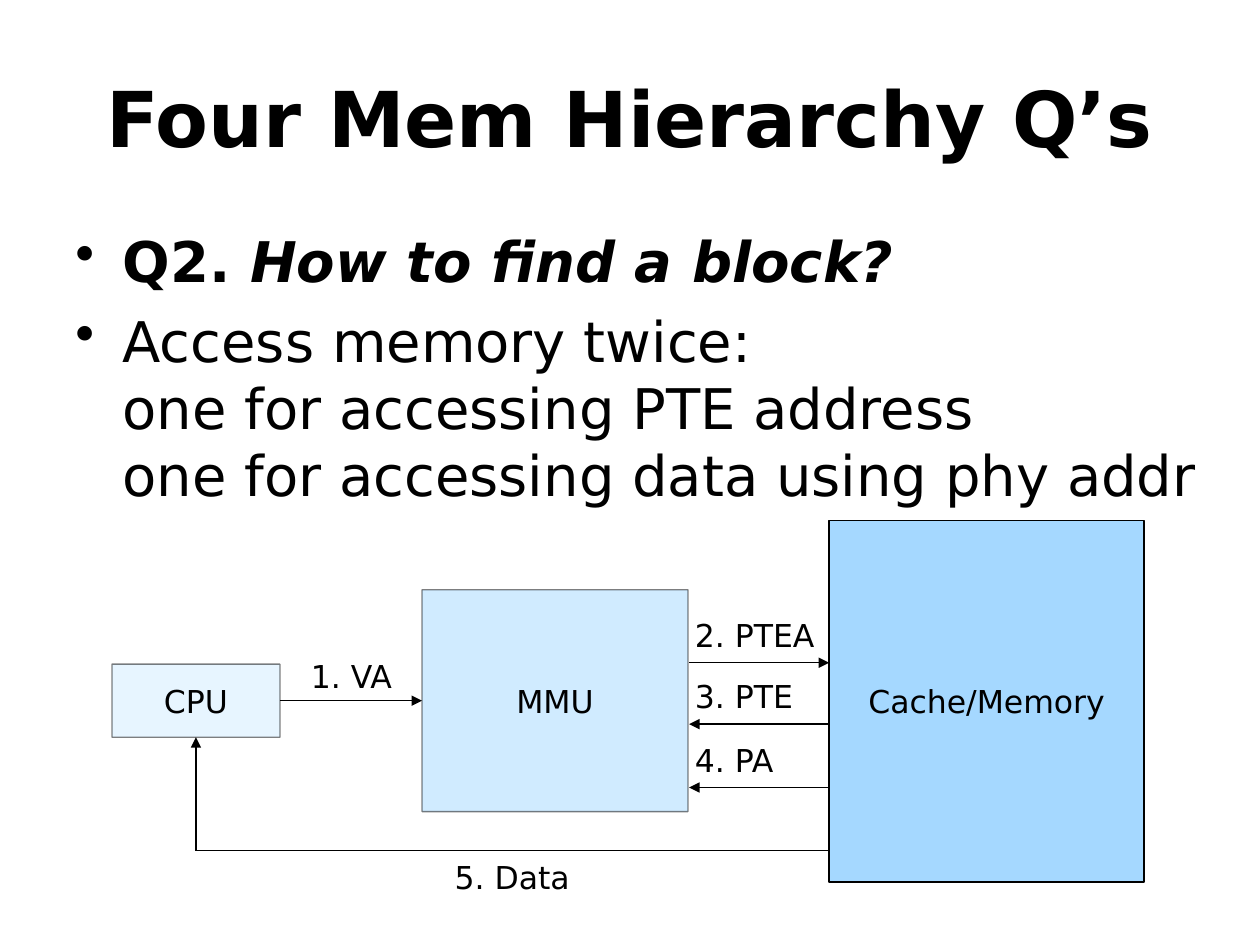
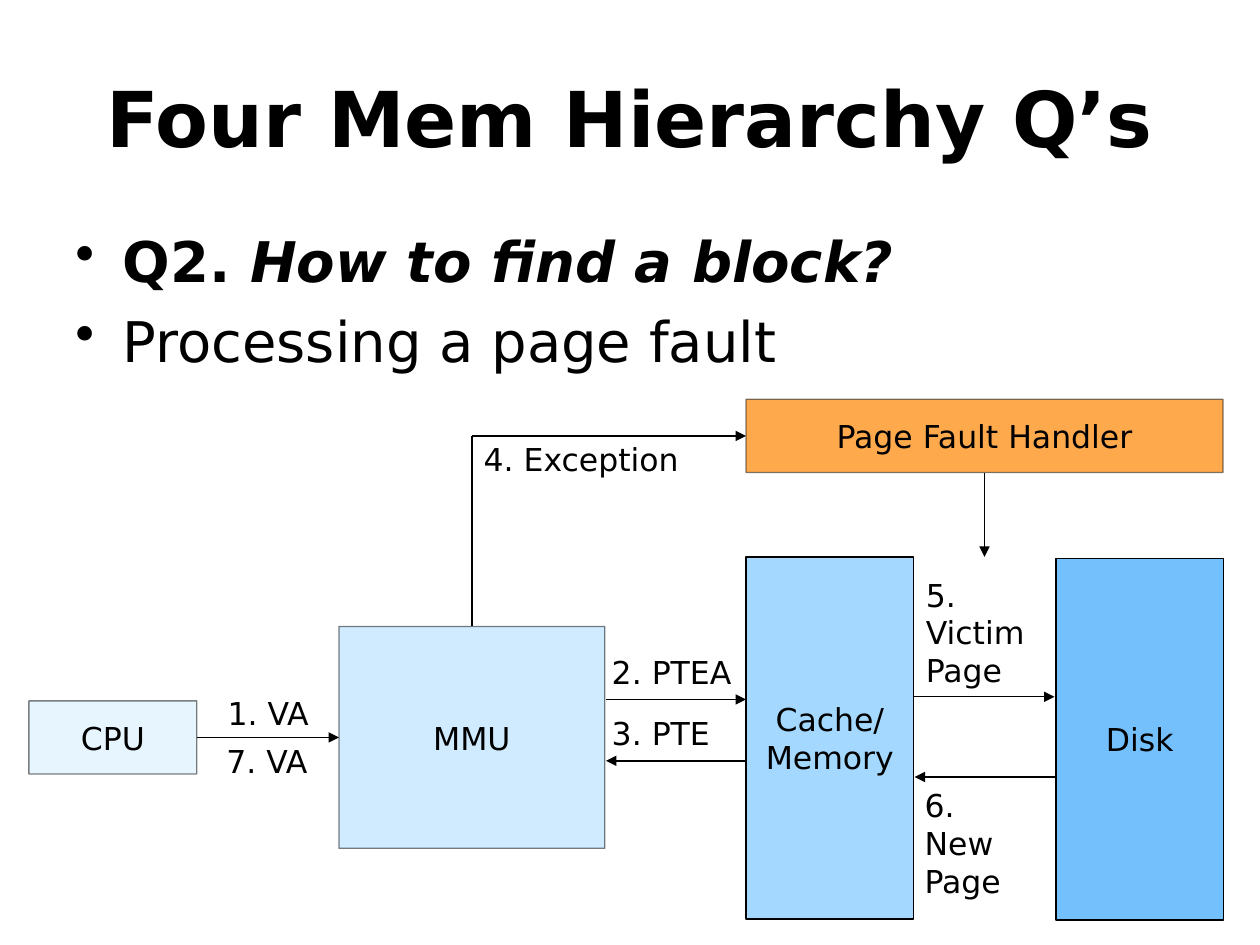
from lxml import etree
from pptx import Presentation
from pptx.dml.color import RGBColor
from pptx.enum import shapes, text
from pptx.oxml import ns
from pptx.util import Pt

BLACK = RGBColor(0, 0, 0)
CPU_BLUE = RGBColor(0xE7, 0xF5, 0xFF)
MMU_BLUE = RGBColor(0xD0, 0xEB, 0xFF)
MEMORY_BLUE = RGBColor(0xA5, 0xD8, 0xFF)
DISK_BLUE = RGBColor(0x74, 0xC0, 0xFC)
HANDLER_ORANGE = RGBColor(0xFF, 0xA9, 0x4D)
FONT = "DejaVu Sans"
LEFT, CENTER = text.PP_ALIGN.LEFT, text.PP_ALIGN.CENTER
TOP_SIDE, LEFT_SIDE, BOTTOM_SIDE, RIGHT_SIDE = range(4)


def block(slide, words, x, y, w, h, fill=None, soft=False, align=CENTER):
    place = Pt(x), Pt(y), Pt(w), Pt(h)
    if fill is None:
        part = slide.shapes.add_textbox(*place)
    else:
        part = slide.shapes.add_shape(shapes.MSO_SHAPE.RECTANGLE, *place)
        part.shadow.inherit = False
        part.fill.solid()
        part.fill.fore_color.rgb = fill
        part.line.color.rgb = BLACK
        part.line.width = Pt(0.75)
        part.text_frame.vertical_anchor = text.MSO_ANCHOR.MIDDLE
        if soft:
            ink = part.line._ln.find(".//" + ns.qn("a:srgbClr"))
            etree.SubElement(ink, ns.qn("a:alpha"), val="50000")
    part.text_frame.word_wrap = fill is None
    part.text_frame.text = words
    for paragraph in part.text_frame.paragraphs:
        paragraph.alignment = align
        paragraph.font.name = FONT
        paragraph.font.size = Pt(18)
        paragraph.font.color.rgb = BLACK
    return part


def link(slide, x1, y1, x2, y2, begin=None, end=None, arrow=True):
    line = slide.shapes.add_connector(
        shapes.MSO_CONNECTOR.STRAIGHT, Pt(x1), Pt(y1), Pt(x2), Pt(y2))
    line.line.color.rgb = BLACK
    line.line.width = Pt(0.75)
    if arrow:
        etree.SubElement(line.line._ln, ns.qn("a:tailEnd"), type="triangle")
    etree.SubElement(line._element.spPr, ns.qn("a:effectLst"))
    if begin:
        line.begin_connect(*begin)
    if end:
        line.end_connect(*end)


prs = Presentation()
prs.slide_width, prs.slide_height = Pt(720), Pt(540)

access = "Access memory twice:\vone for accessing PTE address\vone for accessing data using phy addr"
pages = [
    (access, 0, 0, "Cache/Memory", 180),
    ("Processing a page fault", -47.5, 21, "Cache/\nMemory", 95.8),
]
drawn = []
for topic, dx, dy, memory_name, memory_width in pages:
    slide = prs.slides.add_slide(prs.slide_layouts[5])
    title = slide.shapes.title
    title.left, title.top, title.width, title.height = Pt(0), Pt(21.6), Pt(720), Pt(90)
    title.text_frame.text = "Four Mem Hierarchy Q’s"
    title.text_frame.vertical_anchor = text.MSO_ANCHOR.MIDDLE
    heading = title.text_frame.paragraphs[0]
    heading.alignment = CENTER
    heading.font.name = FONT
    heading.font.size = Pt(44)
    heading.font.bold = True
    heading.font.color.rgb = BLACK

    body = slide.shapes.add_textbox(Pt(36), Pt(126), Pt(684), Pt(414)).text_frame
    body.word_wrap = True
    question, point = body.paragraphs[0], body.add_paragraph()
    number, ask = question.add_run(), question.add_run()
    number.text, ask.text = "Q2. ", "How to find a block?"
    number.font.bold = ask.font.bold = ask.font.italic = True
    point.text = topic
    point.space_before = Pt(7)
    for paragraph in (question, point):
        props = paragraph._p.get_or_add_pPr()
        props.set("marL", str(Pt(27)))
        props.set("indent", str(-Pt(27)))
        etree.SubElement(props, ns.qn("a:buChar"), char="•")
        paragraph.font.name = FONT
        paragraph.font.size = Pt(32)
        paragraph.font.color.rgb = BLACK

    mmu = block(slide, "MMU", 241.2 + dx, 337 + dy, 152, 126.8, MMU_BLUE, soft=True)
    cpu = block(slide, "CPU", 64 + dx, 379.5 + dy, 96, 41.8, CPU_BLUE, soft=True)
    memory = block(slide, memory_name, 473.8 + dx, 297.3 + dy, memory_width, 206.8, MEMORY_BLUE)
    block(slide, "1. VA", 160.5 + dx, 372.2 + dy, 80.6, 28.8)
    link(slide, 160 + dx, 400.4 + dy, 241.2 + dx, 400.4 + dy, (cpu, RIGHT_SIDE), (mmu, LEFT_SIDE))
    for label, y in (("2. PTEA", 348.5), ("3. PTE", 383.5)):
        block(slide, label, 390 + dx, y + dy, 88.6, 28.8, align=LEFT)
    link(slide, 393.8 + dx, 378.7 + dy, 473.8 + dx, 378.7 + dy)
    link(slide, 473.8 + dx, 413.8 + dy, 393.8 + dx, 413.8 + dy)
    drawn.append((slide, cpu, mmu))

twice, cpu, mmu = drawn[0]
block(twice, "4. PA", 390, 420, 88.6, 28.8, align=LEFT)
link(twice, 473.8, 450, 393.8, 450)
link(twice, 473.8, 486, 112, 486, arrow=False)
link(twice, 112, 486, 112, 421.3, end=(cpu, BOTTOM_SIDE))
block(twice, "5. Data", 248.4, 486.7, 88.6, 28.8)

fault, cpu, mmu = drawn[1]
block(fault, "Disk", 603.4, 319, 95.8, 206.8, DISK_BLUE)
block(fault, "5. Victim Page", 522, 325.4, 81.4, 72.7, align=LEFT)
link(fault, 522, 398.2, 602.6, 398.2)
block(fault, "6. New Page", 521.3, 445.7, 72.7, 72.7, align=LEFT)
link(fault, 603.4, 444, 522.7, 444)
block(fault, "7. VA", 112.5, 420.5, 80, 28.8)
handler = block(fault, "Page Fault Handler", 426.3, 228.2, 272.6, 41.8, HANDLER_ORANGE, soft=True)
link(fault, 269.7, 358, 269.7, 249.1, begin=(mmu, TOP_SIDE), arrow=False)
link(fault, 269.7, 249.1, 426.3, 249.1, end=(handler, LEFT_SIDE))
block(fault, "4. Exception", 269.3, 247.7, 157, 28.8, align=LEFT)
link(fault, 562.6, 270, 562.6, 318.2, begin=(handler, BOTTOM_SIDE))

prs.save("out.pptx")
